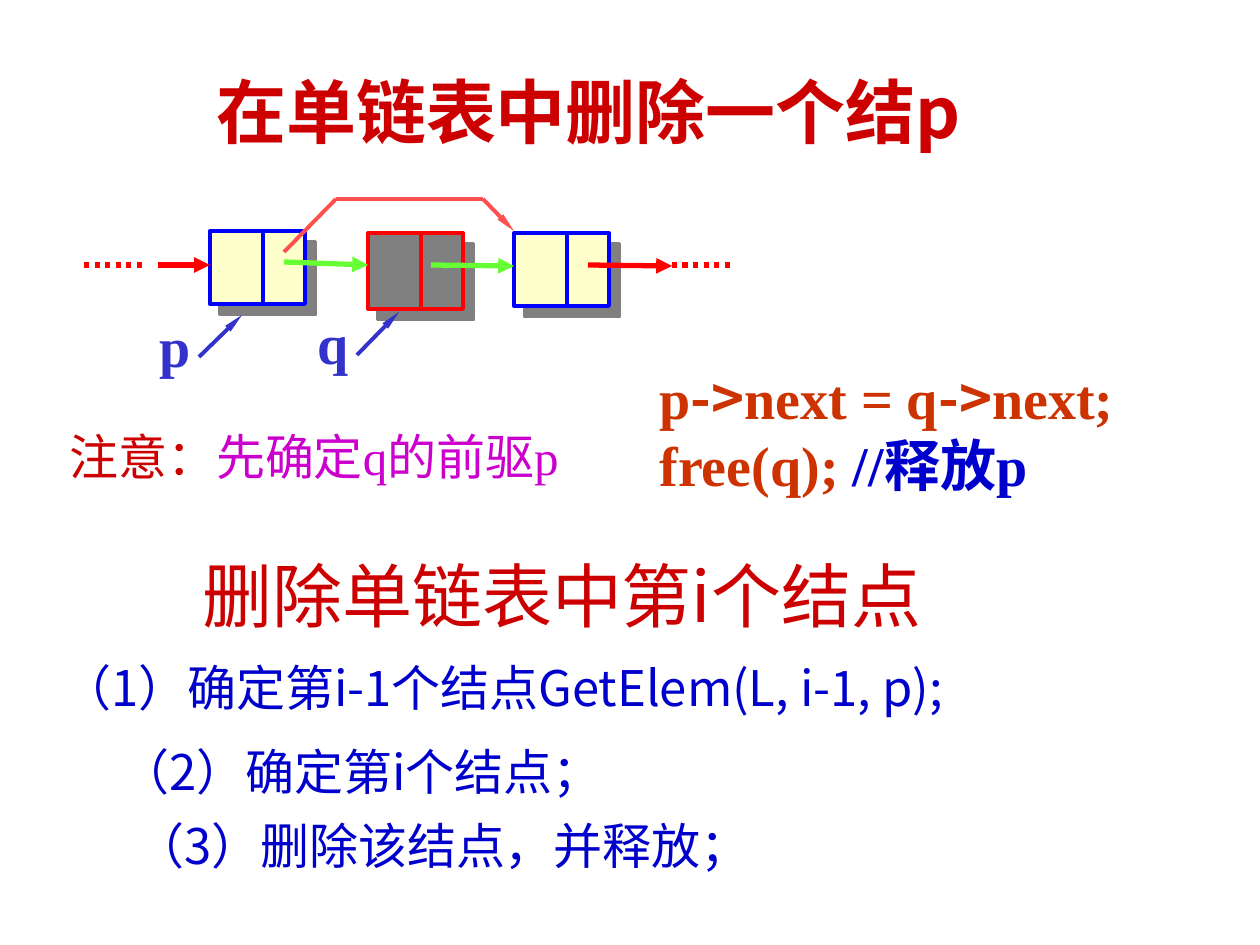
from lxml.etree import SubElement
from pptx import Presentation
from pptx.dml.color import RGBColor
from pptx.enum.dml import MSO_LINE
from pptx.enum.shapes import MSO_CONNECTOR as CONNECTOR, MSO_SHAPE as SHAPE
from pptx.enum.text import MSO_ANCHOR as ANCHOR, PP_ALIGN as ALIGN
from pptx.oxml.ns import qn
from pptx.util import Emu, Pt

COLORS = {
    "title": "CC0000", "code": "CC3300", "step": "0000CC", "hint": "CC00CC",
    "label": "3333CC", "red": "FF0000", "blue": "0000FF", "cream": "FFFFCC",
    "gray": "808080", "next": "66FF33", "bypass": "FF5050",
}
SANS, SERIF = "Noto Sans CJK SC", "Times New Roman"
DATA_WIDTH, POINTER_WIDTH = 53, 42

TITLE = ((53, 63, 1071, 94), [[("在单链表中删除一个结p", 40, SANS, "title", True)]])

CODE = [
    [("p", 32, SERIF, "code", True), ("->", 32, SANS, "code", True),
     ("next = q", 32, SERIF, "code", True), ("->", 32, SANS, "code", True),
     ("next;", 32, SERIF, "code", True)],
    [("free(q); ", 32, SERIF, "code", True), ("//释放p", 32, SERIF, "step", True)],
]
NOTE = [[("注意：", 28, SERIF, "title", False), ("先确定q的前驱p", 28, SERIF, "hint", False)]]

TEXTS = [
    ((647, 357, 540, 159), CODE),
    ((147, 305, 57, 81), [[("p", 32, SERIF, "label", True)]]),
    ((305, 302, 57, 81), [[("q", 32, SERIF, "label", True)]]),
    ((57, 420, 555, 72), NOTE),
    ((190, 546, 800, 97), [[("删除单链表中第i个结点", 40, SANS, "title", False)]]),
]
STEPS = [
    (50, 651, 1153, "（1）确定第i-1个结点GetElem(L, i-1, p);"),
    (108, 735, 571, "（2）确定第i个结点；"),
    (123, 809, 665, "（3）删除该结点，并释放；"),
]
NODES = [
    (210, 231, 73, "cream", "blue"),
    (368, 233, 76, "gray", "red"),
    (514, 233, 73, "cream", "blue"),
]
ELLIPSES = [((84, 265), (147, 265)), ((672, 265), (735, 265))]
LINKS = [
    ((284, 262), (368, 265), "next"),
    ((158, 265), (210, 265), "red"),
    ((588, 265), (672, 266), "red"),
    ((431, 265), (514, 266), "next"),
]
BYPASS = [(284, 252), (336, 199), (483, 199), (514, 231)]
LABEL_ARROWS = [((199, 357), (242, 315)), ((357, 355), (399, 312))]


def px(value):
    return Emu(round(value * 914400 / 126))


def color(name):
    return RGBColor.from_string(COLORS[name])


def write(shape, paragraphs, align=ALIGN.LEFT, anchor=ANCHOR.TOP):
    frame = shape.text_frame
    frame.word_wrap = True
    frame.vertical_anchor = anchor
    for index, pieces in enumerate(paragraphs):
        paragraph = frame.add_paragraph() if index else frame.paragraphs[0]
        paragraph.alignment = align
        for text, size, face, name, bold in pieces:
            run = paragraph.add_run()
            run.text = text
            font = run.font
            font.size, font.name, font.bold = Pt(size), face, bold
            font.color.rgb = color(name)
            SubElement(run._r.get_or_add_rPr(), qn("a:ea"), typeface=SANS)


def add_cell(slide, left, top, width, height, fill, outline):
    cell = slide.shapes.add_shape(SHAPE.RECTANGLE, px(left), px(top), px(width), px(height))
    cell.fill.solid()
    cell.fill.fore_color.rgb = color(fill)
    cell.line.color.rgb = color(outline)
    cell.line.width = Pt(2.25)
    cell.shadow.inherit = False
    effects = cell._element.spPr.find(qn("a:effectLst"))
    shadow = SubElement(effects, qn("a:outerShdw"), dist=str(Pt(8.5)), dir="2700000",
                        algn="ctr", rotWithShape="0")
    SubElement(shadow, qn("a:srgbClr"), val=COLORS["gray"])


def add_line(slide, start, end, name, width=3, head=None, dash=None):
    line = slide.shapes.add_connector(CONNECTOR.STRAIGHT, *map(px, start + end))
    line.line.color.rgb = color(name)
    line.line.width = Pt(width)
    if dash:
        line.line.dash_style = dash
    if head:
        SubElement(line.line._get_or_add_ln(), qn("a:tailEnd"),
                   type="triangle", w=head[0], len=head[1])
    SubElement(line._element.spPr, qn("a:effectLst"))


def main():
    presentation = Presentation()
    presentation.slide_width, presentation.slide_height = px(1260), px(945)
    slide = presentation.slides.add_slide(presentation.slide_layouts[5])

    title = slide.shapes.title
    box, paragraphs = TITLE
    title.left, title.top, title.width, title.height = map(px, box)
    write(title, paragraphs, ALIGN.CENTER, ANCHOR.MIDDLE)

    for left, top, height, fill, outline in NODES:
        add_cell(slide, left, top, DATA_WIDTH, height, fill, outline)
        add_cell(slide, left + DATA_WIDTH, top, POINTER_WIDTH, height, fill, outline)

    for start, end in ELLIPSES:
        add_line(slide, start, end, "red", dash=MSO_LINE.ROUND_DOT)
    for start, end, name in LINKS:
        add_line(slide, start, end, name, head=("med", "med"))
    for start, end in zip(BYPASS, BYPASS[1:]):
        head = ("sm", "lg") if end == BYPASS[-1] else None
        add_line(slide, start, end, "bypass", 2.25, head)
    for start, end in LABEL_ARROWS:
        add_line(slide, start, end, "label", 2.25, ("sm", "lg"))

    steps = [((left, top, width, 72), [[(text, 28, SANS, "step", False)]])
             for left, top, width, text in STEPS]
    for box, paragraphs in TEXTS + steps:
        write(slide.shapes.add_textbox(*map(px, box)), paragraphs)

    presentation.save("out.pptx")


if __name__ == "__main__":
    main()
